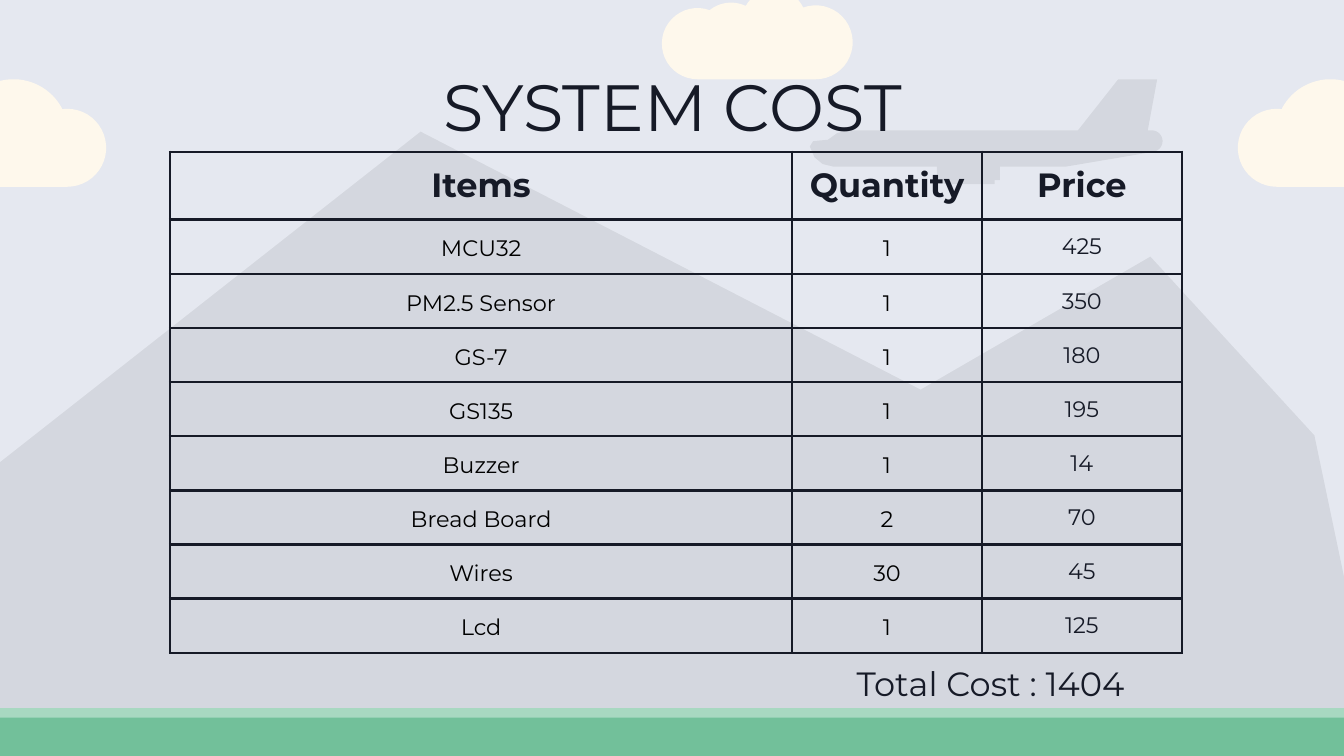
from dataclasses import dataclass
from math import cos, radians, sin

from lxml.etree import SubElement as Sub
from pptx import Presentation as Deck
from pptx.dml.color import RGBColor as Rgb
from pptx.enum.shapes import MSO_SHAPE as Kind
from pptx.enum.text import MSO_ANCHOR as Anchor, PP_ALIGN as Align
from pptx.oxml.ns import qn
from pptx.util import Inches, Pt


@dataclass(frozen=True)
class Theme:
    """Colours, type sizes and line width of the slide."""
    font: str = "Montserrat"
    sky: str = "E5E8F0"
    ink: str = "161A27"
    black: str = "000000"
    cloud: str = "FEF8EC"
    grass: str = "72C09A"
    edge: str = "A8D8C1"
    shade: int = 7
    title: int = 35
    head: int = 18
    body: int = 12
    rule: float = 1.5


LOOK = Theme()
COLS, ROWS = 100, 56.25
PEAKS = [(0, 34.4), (31.3, 9.8), (68.5, 29), (85.6, 19.1), (97.8, 32.4),
         (COLS, 42.9), (COLS, ROWS), (0, ROWS)]
PLANE = [(85.4, 9.7), (86.1, 5.9), (83.2, 5.9), (80.2, 9.7), (63.1, 9.7),
         (62.3, 9.9), (61.6, 10.4), (60.5, 10.5), (60.25, 10.9), (60.6, 11.7),
         (61.2, 12.2), (62, 12.4), (69.7, 12.4), (69.7, 13.3), (69.9, 13.6),
         (70.5, 13.7), (74, 13.7), (74, 13.4), (74.4, 13.4), (74.4, 12.4),
         (79.3, 12.4), (85.8, 11.3)]
TAIL = (85.7, 10.5, 0.8, 80, -90)
SIDE = [(95, 11, 2.9, 90, 278), (99, 10, 4.1, 208, 312),
        (103.6, 10.2, 3.7, 239, 450)]
TOP = [(51.9, 3.25, 2.65, 90, 290), (54.4, 2.75, 2.55, 231, 295),
       (57.6, 1.6, 2.4, 210, 335), (60.7, 3.15, 2.75, 249, 450)]
HEAD = ("Items", "Quantity", "Price")
ITEMS = [("MCU32", 1, 425), ("PM2.5 Sensor", 1, 350), ("GS-7", 1, 180),
         ("GS135", 1, 195), ("Buzzer", 1, 14), ("Bread Board", 2, 70),
         ("Wires", 30, 45), ("Lcd", 1, 125)]


def unit(n):
    """Turn grid steps into a length."""
    return Inches(n / 10)


def arc(x, y, r, a, b, steps=24):
    """List the points of a circular arc between two angles."""
    turns = [radians(a + (b - a) * i / steps) for i in range(steps + 1)]
    return [(x + r * cos(t), y + r * sin(t)) for t in turns]


def puff(lobes):
    """Join the arcs of a cloud's lobes."""
    return [dot for lobe in lobes for dot in arc(*lobe)]


def paint(shape, hue, alpha=100):
    """Fill a shape flat, without line or shadow."""
    shape.shadow.inherit = False
    shape.line.fill.background()
    shape.fill.solid()
    shape.fill.fore_color.rgb = Rgb.from_string(hue)
    if alpha < 100:
        tone = shape.fill._xPr.find(".//" + qn("a:srgbClr"))
        Sub(tone, qn("a:alpha")).set("val", str(alpha * 1000))


def outline(slide, dots, hue, alpha=100):
    """Draw a closed outline through grid points."""
    pts = [(unit(x), unit(y)) for x, y in dots]
    pen = slide.shapes.build_freeform(*pts[0])
    pen.add_line_segments(pts[1:], close=True)
    paint(pen.convert_to_shape(), hue, alpha)


def band(slide, top, hue):
    """Draw a full-width band from a row down to the slide's foot."""
    box = map(unit, (0, top, COLS, ROWS - top))
    paint(slide.shapes.add_shape(Kind.RECTANGLE, *box), hue)


def write(frame, text, size, hue=LOOK.ink, bold=False, lead=1.0):
    """Write one centred paragraph."""
    frame.word_wrap = True
    para = frame.paragraphs[0]
    para.alignment, para.line_spacing = Align.CENTER, lead
    run = para.add_run()
    run.text = str(text)
    form = {"name": LOOK.font, "size": Pt(size), "bold": bold}
    for key, val in form.items():
        setattr(run.font, key, val)
    run.font.color.rgb = Rgb.from_string(hue)


def label(slide, box, text, size):
    """Add a text box at a grid place."""
    frame = slide.shapes.add_textbox(*map(unit, box)).text_frame
    for side in ("left", "top", "right", "bottom"):
        setattr(frame, "margin_" + side, unit(1))
    write(frame, text, size)


def border(cell):
    """Rule all four sides of a cell."""
    props = cell._tc.get_or_add_tcPr()
    for i, side in enumerate(("lnL", "lnR", "lnT", "lnB")):
        line = props.makeelement(qn("a:" + side), {"w": str(Pt(LOOK.rule))})
        fill = Sub(line, qn("a:solidFill"))
        Sub(fill, qn("a:srgbClr")).set("val", LOOK.ink)
        props.insert(i, line)


def fit(cell, wide, high):
    """Set a cell's anchor, margins, fill and borders."""
    form = {"vertical_anchor": Anchor.MIDDLE,
            "margin_left": unit(wide), "margin_right": unit(wide),
            "margin_top": unit(high), "margin_bottom": unit(high)}
    for key, val in form.items():
        setattr(cell, key, val)
    cell.fill.background()
    border(cell)


def costs(slide):
    """Add the table of items, counts and prices."""
    wide, high = (46.3, 14.1, 14.9), [5.05] + [4.03] * len(ITEMS)
    box = map(unit, (12.65, 11.3, sum(wide), sum(high)))
    grid = slide.shapes.add_table(len(high), len(wide), *box).table
    grid.first_row = grid.horz_banding = False
    for col, w in zip(grid.columns, wide):
        col.width = unit(w)
    for r, (row, h, vals) in enumerate(zip(grid.rows, high, [HEAD, *ITEMS])):
        row.height = unit(h)
        for c, (cell, val) in enumerate(zip(row.cells, vals)):
            if r == 0:
                fit(cell, 1, 1)
                write(cell.text_frame, val, LOOK.head, bold=True)
            elif c == 2:
                fit(cell, 1, 1)
                write(cell.text_frame, val, LOOK.body)
            else:
                fit(cell, 0.7, 0)
                write(cell.text_frame, val, LOOK.body, LOOK.black, lead=1.15)


def scene(slide):
    """Draw sky, mountains, grass, plane and clouds."""
    sky = slide.background.fill
    sky.solid()
    sky.fore_color.rgb = Rgb.from_string(LOOK.sky)
    outline(slide, PEAKS, LOOK.black, LOOK.shade)
    band(slide, 52.7, LOOK.edge)
    band(slide, 53.4, LOOK.grass)
    outline(slide, PLANE + arc(*TAIL), LOOK.black, LOOK.shade)
    right = puff(SIDE)
    left = [(COLS - x, y) for x, y in right]
    for dots in (right, left, puff(TOP)):
        outline(slide, dots, LOOK.cloud)


def main():
    """Build and save the slide."""
    deck = Deck()
    deck.slide_width, deck.slide_height = unit(COLS), unit(ROWS)
    slide = deck.slides.add_slide(deck.slide_layouts[6])
    scene(slide)
    label(slide, (7.9, 3.9, 84.3, 7.4), "SYSTEM COST", LOOK.title)
    costs(slide)
    label(slide, (60.1, 48.3, 27.2, 4.8), "Total Cost : 1404", LOOK.head)
    deck.save("out.pptx")


if __name__ == "__main__":
    main()
